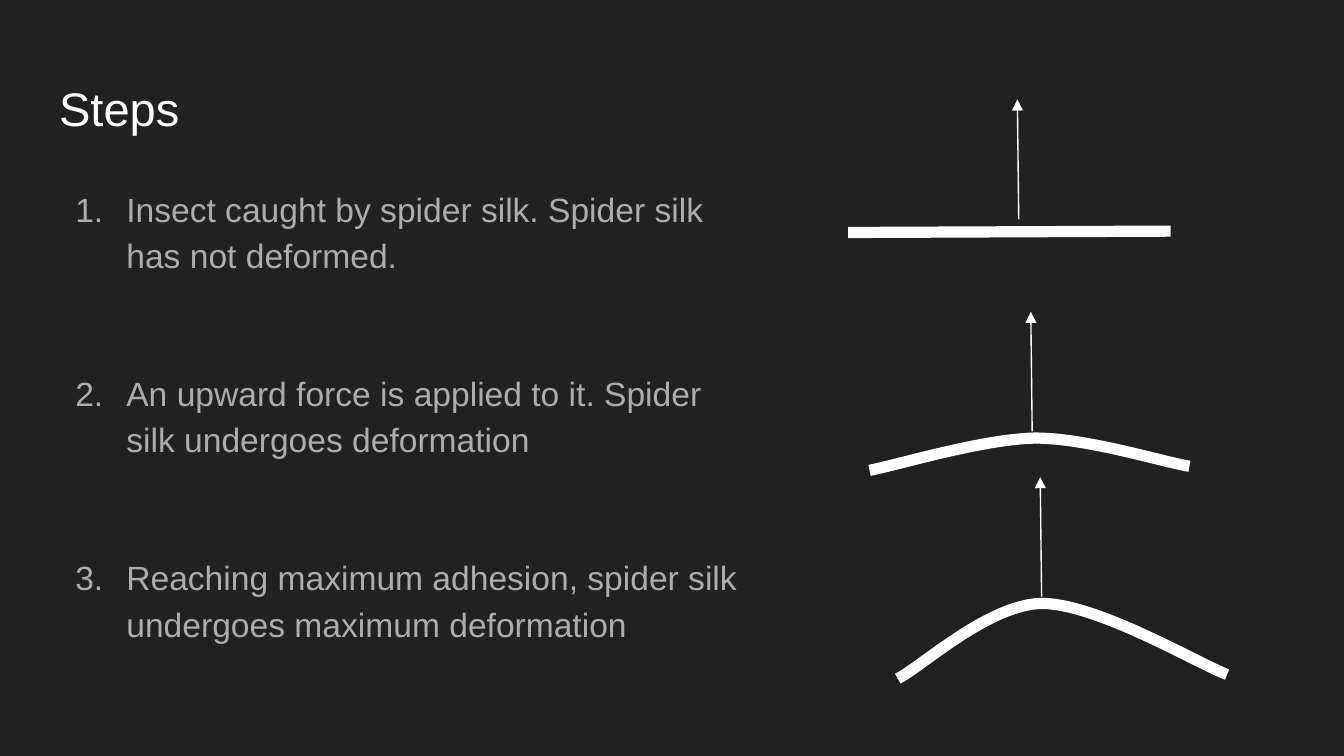
from lxml import etree
from pptx import Presentation
from pptx.dml.color import RGBColor
from pptx.enum.shapes import MSO_CONNECTOR
from pptx.enum.text import MSO_ANCHOR, MSO_AUTO_SIZE, PP_ALIGN
from pptx.oxml.ns import qn
from pptx.util import Inches, Pt

DARK = RGBColor(0x21, 0x21, 0x21)
WHITE = RGBColor(0xFF, 0xFF, 0xFF)
GRAY = RGBColor(0xAD, 0xAD, 0xAD)
FONT = "Arial"

STEPS = [
    "Insect caught by spider silk. Spider silk has not deformed.",
    "An upward force is applied to it. Spider silk undergoes deformation",
    "Reaching maximum adhesion, spider silk undergoes maximum deformation",
]
SLIGHT_BEND = [(0, 1.18), (0.21, 1.14), (0.83, 0.95), (1.23, 0.94),
               (1.62, 0.94), (2.19, 1.12), (2.38, 1.15)]
FULL_BEND = [(0, 1.5), (0.18, 1.41), (0.67, 0.95), (1.07, 0.94),
             (1.48, 0.94), (2.22, 1.38), (2.45, 1.47)]


def prepare_placeholder(sp, left, top, width, height):
    """Move a placeholder and give its text frame plain, top-aligned settings."""
    sp.left, sp.top = Inches(left), Inches(top)
    sp.width, sp.height = Inches(width), Inches(height)
    tf = sp.text_frame
    tf.word_wrap = True
    tf.auto_size = MSO_AUTO_SIZE.NONE
    tf.vertical_anchor = MSO_ANCHOR.TOP
    tf.margin_left = tf.margin_right = tf.margin_top = tf.margin_bottom = Inches(0.1)
    return tf


def style_paragraph(p, size, color):
    """Set the font and left alignment of a paragraph."""
    p.alignment = PP_ALIGN.LEFT
    p.font.name, p.font.size = FONT, Pt(size)
    p.font.color.rgb = color


def add_title(s, text, left, top, width, height):
    """Fill the title placeholder."""
    tf = prepare_placeholder(s.shapes.title, left, top, width, height)
    tf.text = text
    style_paragraph(tf.paragraphs[0], 25.2, WHITE)


def add_steps(s, steps, left, top, width, height):
    """Fill the body placeholder with a numbered list."""
    tf = prepare_placeholder(s.placeholders[1], left, top, width, height)
    tf.text = "\n".join(steps)
    for i, p in enumerate(tf.paragraphs):
        style_paragraph(p, 18, GRAY)
        p.line_spacing = 1.15
        p.space_before = Pt(49 if i else 0)
        pPr = p._p.get_or_add_pPr()
        pPr.set("marL", str(Inches(0.5)))
        pPr.set("indent", str(Inches(-0.38)))
        bullet = etree.Element(qn("a:buAutoNum"), type="arabicPeriod")
        pPr.find(qn("a:defRPr")).addprevious(bullet)


def add_line(s, x1, y1, x2, y2, weight, arrow=False):
    """Draw a straight white line, with an arrowhead at its end if asked."""
    cxn = s.shapes.add_connector(MSO_CONNECTOR.STRAIGHT, Inches(x1), Inches(y1),
                                 Inches(x2), Inches(y2))
    cxn.line.color.rgb = WHITE
    cxn.line.width = Pt(weight)
    if arrow:
        etree.SubElement(cxn.line._get_or_add_ln(), qn("a:tailEnd"), type="triangle")
    etree.SubElement(cxn._element.spPr, qn("a:effectLst"))


def bezier_points(controls, steps=24):
    """Return points along a chain of cubic Bezier segments."""
    points = [controls[0]]
    for k in range(0, len(controls) - 1, 3):
        for i in range(1, steps + 1):
            t = i / steps
            weights = ((1 - t) ** 3, 3 * t * (1 - t) ** 2, 3 * t * t * (1 - t), t ** 3)
            points.append(tuple(sum(w * c[axis] for w, c in zip(weights, controls[k:k + 4]))
                                for axis in (0, 1)))
    return points


def add_bent_silk(s, left, top, controls):
    """Draw a bent silk strand from control points relative to its box."""
    points = [(Inches(left + x), Inches(top + y)) for x, y in bezier_points(controls)]
    builder = s.shapes.build_freeform(*points[0])
    builder.add_line_segments(points[1:], close=False)
    sp = builder.convert_to_shape()
    sp.shadow.inherit = False
    sp.fill.background()
    sp.line.color.rgb = WHITE
    sp.line.width = Pt(6)


def add_stage(s, left, top, arrow_x, bend=None):
    """Draw one stage: a silk strand with an upward force arrow above it."""
    if bend:
        add_bent_silk(s, left, top, bend)
    else:
        add_line(s, left, top + 0.99, left + 2.4, top + 0.98, 6)
    x = left + arrow_x
    add_line(s, x + 0.01, top + 0.89, x, top, 0.75, arrow=True)


def main():
    """Build and save the slide."""
    prs = Presentation()
    prs.slide_width = Inches(10)
    prs.slide_height = prs.slide_width * 9 // 16
    s = prs.slides.add_slide(prs.slide_layouts[1])
    s.background.fill.solid()
    s.background.fill.fore_color.rgb = DARK
    add_title(s, "Steps", 0.34, 0.49, 5.13, 0.63)
    add_steps(s, STEPS, 0.34, 1.26, 5.32, 3.74)
    add_stage(s, 6.31, 0.74, 1.26)
    add_stage(s, 6.47, 2.32, 1.2, SLIGHT_BEND)
    add_stage(s, 6.68, 3.55, 1.06, FULL_BEND)
    prs.save("out.pptx")


if __name__ == "__main__":
    main()
